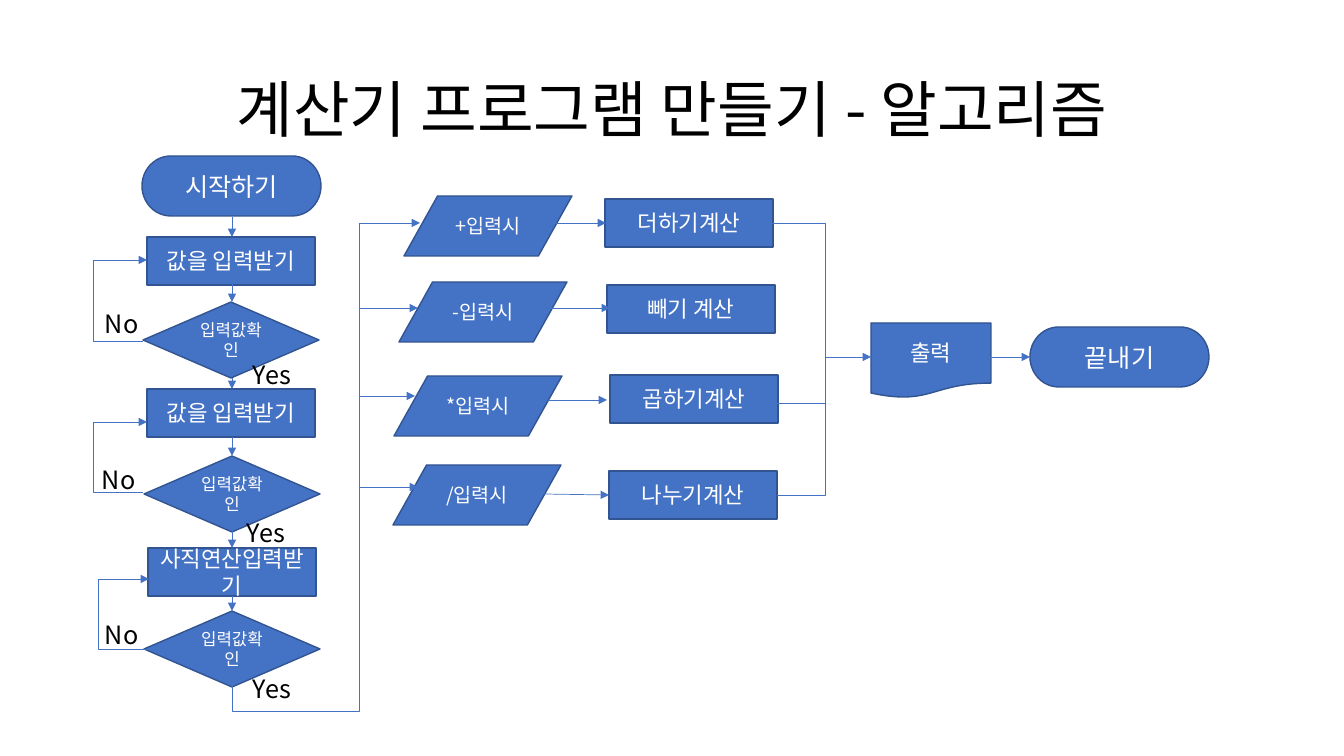
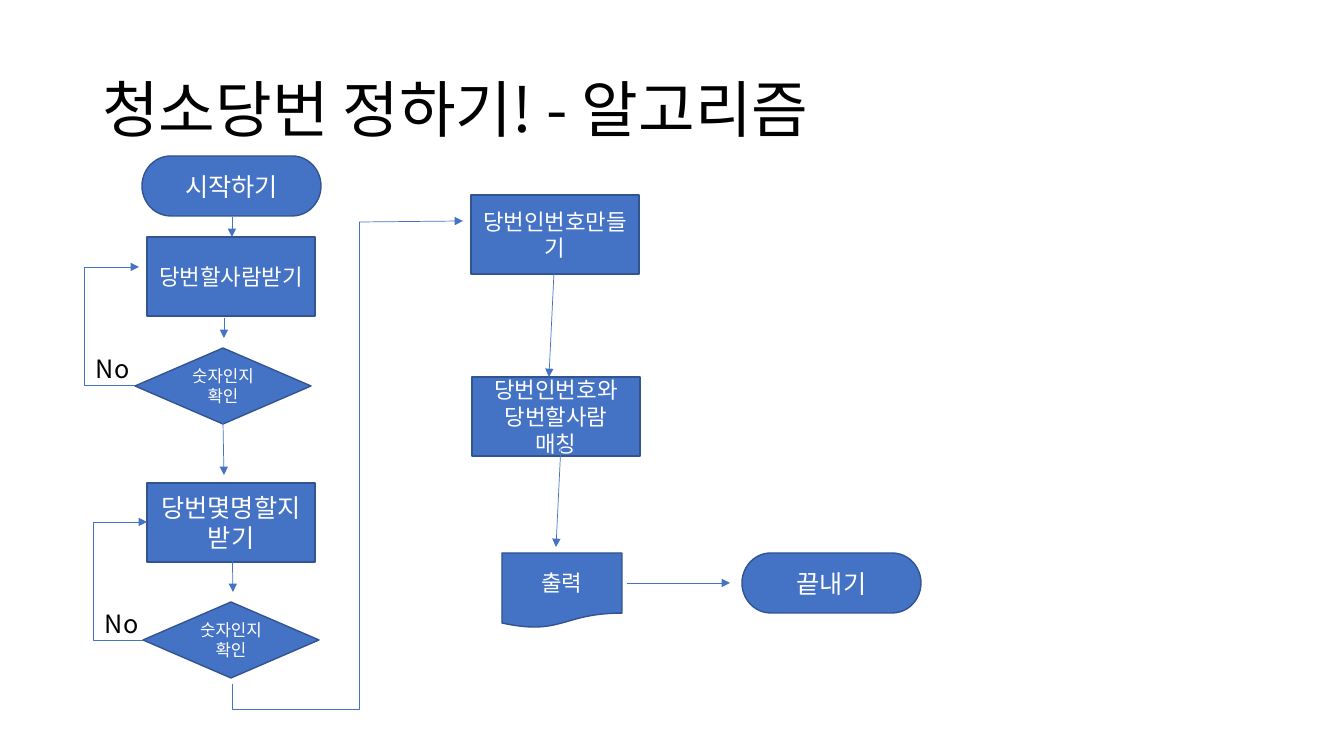
from dataclasses import dataclass

from lxml import etree
from pptx import Presentation
from pptx.dml.color import RGBColor
from pptx.enum.shapes import MSO_CONNECTOR, MSO_SHAPE
from pptx.enum.text import MSO_ANCHOR, MSO_AUTO_SIZE, PP_ALIGN
from pptx.oxml.ns import qn
from pptx.util import Pt

PX = 914400 / 100.8
TERM = MSO_SHAPE.FLOWCHART_TERMINATOR
STEP = MSO_SHAPE.FLOWCHART_PROCESS
TEST = MSO_SHAPE.FLOWCHART_DECISION
DATA = MSO_SHAPE.FLOWCHART_DATA
DOC = MSO_SHAPE.FLOWCHART_DOCUMENT
LINE, BEND = MSO_CONNECTOR.STRAIGHT, MSO_CONNECTOR.ELBOW
LEFT, MID = PP_ALIGN.LEFT, PP_ALIGN.CENTER
CORE, FIXED = MSO_ANCHOR.MIDDLE, MSO_AUTO_SIZE.NONE


@dataclass(frozen=True)
class Theme:
    font: str = "Noto Sans CJK KR"
    blue: RGBColor = RGBColor(0x44, 0x72, 0xC4)
    edge: RGBColor = RGBColor(0x32, 0x54, 0x91)
    dark: RGBColor = RGBColor(0, 0, 0)
    light: RGBColor = RGBColor(255, 255, 255)
    title: int = 44
    large: int = 18
    body: int = 16
    small: int = 14
    tiny: int = 12


def px(*vals):
    return [round(v * PX) for v in vals]


def apply(item, props):
    for name, value in props.items():
        setattr(item, name, value)


class Flow:
    def __init__(self, deck, theme):
        self.deck, self.theme, self.slide = deck, theme, None
        self.forms = {
            TERM: (179, 60, theme.large),
            STEP: (168, 48, theme.body),
            TEST: (176, 76, theme.tiny),
            DATA: (168, 60, theme.small),
            DOC: (120, 75, theme.body),
        }

    def words(self, shape, text, size, color, align, **frame):
        box = shape.text_frame
        apply(box, {"word_wrap": True, **frame})
        para = box.paragraphs[0]
        para.alignment = align
        run = para.add_run()
        run.text = text
        apply(run.font, {"name": self.theme.font, "size": Pt(size)})
        run.font.color.rgb = color
        face = etree.SubElement(run.font._element, qn("a:ea"))
        face.set("typeface", self.theme.font)
        return para

    def page(self, text, align):
        self.slide = self.deck.slides.add_slide(self.deck.slide_layouts[5])
        head = self.slide.shapes.title
        apply(head, dict(zip(("left", "top", "width", "height"), px(92, 40, 1160, 146))))
        para = self.words(head, text, self.theme.title, self.theme.dark, align,
                          vertical_anchor=CORE, auto_size=FIXED)
        para.line_spacing = 0.9

    def node(self, kind, x, y, text, high=None, size=None):
        wide, tall, pt = self.forms[kind]
        shape = self.slide.shapes.add_shape(kind, *px(x, y, wide, high or tall))
        shape.shadow.inherit = False
        shape.fill.solid()
        shape.fill.fore_color.rgb = self.theme.blue
        shape.line.color.rgb = self.theme.edge
        shape.line.width = Pt(1)
        self.words(shape, text, size or pt, self.theme.light, MID,
                   vertical_anchor=CORE)

    def label(self, x, y, text, wide):
        box = self.slide.shapes.add_textbox(*px(x, y, wide, 40))
        self.words(box, text, self.theme.large, self.theme.dark, LEFT)

    def link(self, kind, *ends):
        wire = self.slide.shapes.add_connector(kind, *px(*ends))
        wire.line.color.rgb = self.theme.blue
        wire.line.width = Pt(0.5)
        etree.SubElement(wire._element.spPr, qn("a:effectLst"))
        return wire

    def arrow(self, *ends):
        wire = self.link(LINE, *ends)
        line = wire._element.spPr.find(qn("a:ln"))
        etree.SubElement(line, qn("a:tailEnd")).set("type", "triangle")

    def corner(self, *ends):
        wire = self.link(BEND, *ends)
        wire._element.spPr.find(qn("a:prstGeom")).set("prst", "bentConnector2")

    def loop(self, x, y, side, top, stop):
        self.corner(x, y, side, top)
        self.arrow(side, top, stop, top)

    def climb(self, x, y, right, top, base):
        cx, cy = (x + right) / 2, (y + top) / 2
        dx, dy = (right - x) / 2, (y - top) / 2
        wire = self.link(BEND, cx + dy, cy + dx, cx - dy, cy - dx)
        props = wire._element.spPr
        props.find(qn("a:xfrm")).set("rot", "5400000")
        geom = props.find(qn("a:prstGeom"))
        vals = geom.find(qn("a:avLst"))
        if vals is None:
            vals = etree.SubElement(geom, qn("a:avLst"))
        bend = round((y - base) / (y - top) * 100000)
        etree.SubElement(vals, qn("a:gd"), name="adj1", fmla=f"val {bend}")


def calc(flow):
    flow.page("계산기 프로그램 만들기 - 알고리즘", MID)
    flow.node(TERM, 142, 156, "시작하기")
    for x, y, text in ((147, 237, "값을 입력받기"), (147, 389, "값을 입력받기"),
                       (148, 548, "사직연산입력받기")):
        flow.node(STEP, x, y, text)
    for x, y in ((143, 302), (144, 456), (144, 611)):
        flow.node(TEST, x, y, "입력값확인")
    for x, y, sign in ((404, 196, "+"), (399, 282, "-"),
                       (394, 376, "*"), (393, 465, "/")):
        flow.node(DATA, x, y, sign + "입력시")
    for x, y, text in ((605, 199, "더하기계산"), (607, 285, "빼기 계산"),
                       (610, 375, "곱하기계산"), (609, 471, "나누기계산")):
        flow.node(STEP, x, y, text)
    flow.node(DOC, 871, 323, "출력")
    flow.node(TERM, 1030, 327, "끝내기")
    for top, low in ((217, 237), (284, 302), (378, 389),
                     (437, 456), (530, 548), (596, 611)):
        flow.arrow(232, top, 232, low)
    for ends in ((143, 341, 93, 260, 147), (143, 492, 93, 422, 147),
                 (149, 649, 98, 579, 149)):
        flow.loop(*ends)
    for x, y in ((243, 354), (237, 512), (243, 668)):
        flow.label(x, y, "Yes", 65)
    for x, y in ((95, 303), (92, 459), (95, 614)):
        flow.label(x, y, "No", 74)
    flow.climb(232, 686, 359, 223, 711)
    for y, stop in ((223, 420), (308, 418), (396, 415), (487, 418)):
        flow.arrow(359, y, stop, y)
    for ends in ((547, 223, 606, 223), (551, 308, 610, 308),
                 (548, 400, 607, 400), (544, 494, 609, 495),
                 (972, 357, 1030, 357), (825, 357, 871, 357)):
        flow.arrow(*ends)
    for x, y, stop in ((777, 495, 389), (777, 403, 297), (772, 223, 334)):
        flow.corner(x, y, 825, stop)


def duty(flow):
    flow.page("청소당번 정하기! - 알고리즘", LEFT)
    flow.node(TERM, 142, 156, "시작하기")
    for x, y, text, size in (
            (147, 237, "당번할사람받기", None),
            (147, 483, "당번몇명할지받기", flow.theme.large),
            (471, 195, "당번인번호만들기", None),
            (472, 377, "당번인번호와 당번할사람 매칭", None)):
        flow.node(STEP, x, y, text, 79, size)
    for x, y in ((135, 348), (143, 602)):
        flow.node(TEST, x, y, "숫자인지확인")
    flow.node(DOC, 502, 553, "출력")
    flow.node(TERM, 742, 553, "끝내기")
    flow.loop(135, 385, 84, 267, 139)
    flow.loop(143, 640, 93, 522, 147)
    for x, y in ((86, 348), (95, 603)):
        flow.label(x, y, "No", 74)
    flow.climb(232, 684, 359, 222, 710)
    for ends in ((232, 217, 232, 237), (224, 318, 224, 338),
                 (223, 422, 224, 475), (232, 540, 233, 592),
                 (359, 222, 463, 221), (554, 273, 549, 377),
                 (561, 444, 556, 547), (627, 583, 730, 583)):
        flow.arrow(*ends)


deck = Presentation()
apply(deck, dict(zip(("slide_width", "slide_height"), px(1344, 756))))
flow = Flow(deck, Theme())
calc(flow)
duty(flow)
deck.save("out.pptx")
